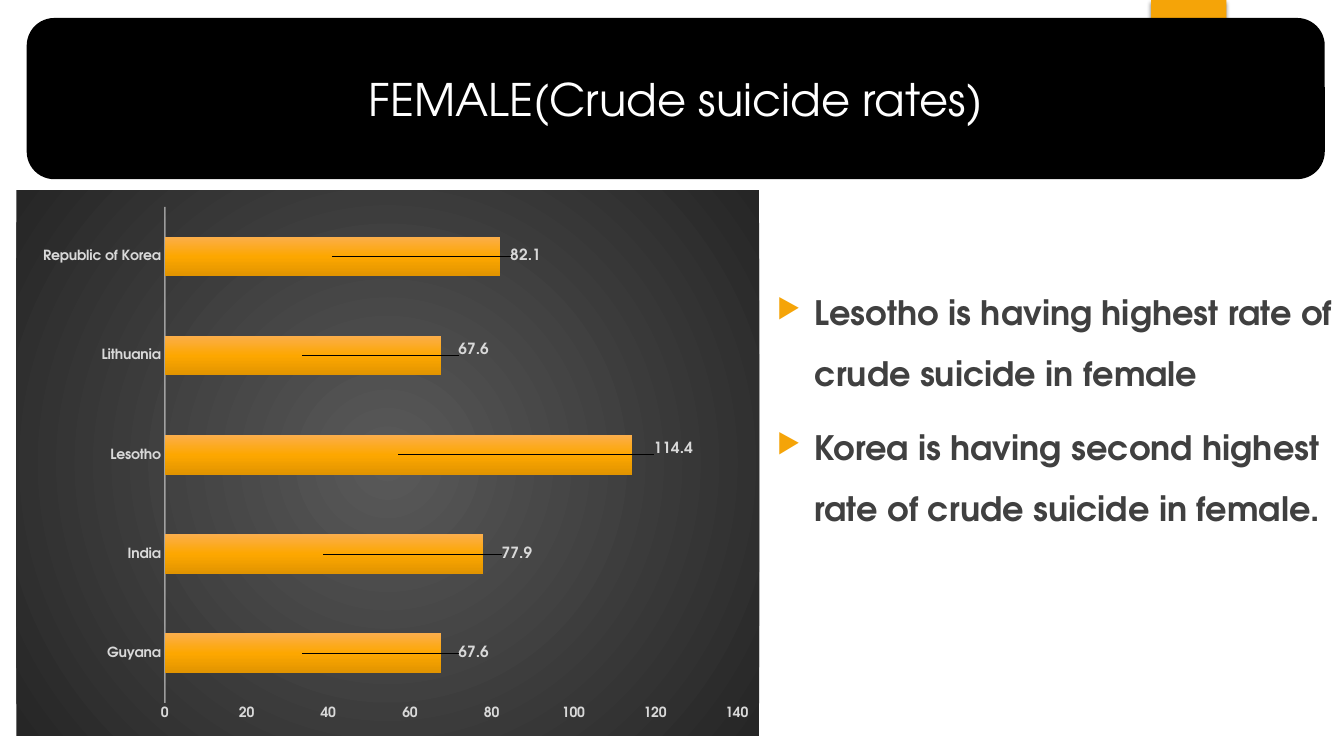
import pptx
import pptx.util
import pptx.chart.data
import pptx.dml.color
import pptx.enum.chart
import pptx.enum.shapes
import pptx.enum.text
import pptx.oxml
import pptx.oxml.ns
from pptx.util import Cm, Pt

# Content
TITLE = "FEMALE(Crude suicide rates)"
POINTS = [
    "Lesotho is having highest rate of crude suicide in female",
    "Korea is having second highest rate of crude suicide in female.",
]
# country: (rate, label shift from bar centre as share of chart width, height)
RATES = {
    "Guyana": (67.6, 0.23, 0),
    "India": (77.9, 0.26, 0),
    "Lesotho": (114.4, 0.37, -0.01),
    "Lithuania": (67.6, 0.23, -0.01),
    "Republic of Korea": (82.1, 0.26, 0),
}
FONT = "TeX Gyre Adventor"
COLORS = {"accent": "F5A408", "banner": "000000", "title": "FFFFFF",
          "body": "404040", "label": "D9D9D9", "axis": "F2F2F2"}
BAR_STOPS = [(0, "FBAE4B"), (50, "FDA700"), (100, "E19400")]
PANEL_STOPS = [(0, "595959"), (100, "262626")]
PLOT = {"x": 0.2, "y": 0.03, "w": 0.77, "h": 0.91}
NAMESPACES = pptx.oxml.ns.nsdecls("a", "c")


def rgb(name):
    return pptx.dml.color.RGBColor.from_string(COLORS[name])


def element(tag, attributes="", inner=""):
    return pptx.oxml.parse_xml(f"<{tag} {NAMESPACES} {attributes}>{inner}</{tag}>")


def style_font(font, size, color, bold=False):
    font.name, font.size, font.bold = FONT, Pt(size), bold
    font.color.rgb = rgb(color)


def add_text(para, text, size=24, color="body", bold=False, **layout):
    span = para.add_run()
    span.text = text
    style_font(span.font, size, color, bold)
    for name, value in layout.items():
        setattr(para, name, value)


def add_block(page, kind, left, top, width, height, color):
    block = page.shapes.add_shape(kind, Cm(left), Cm(top), Cm(width), Cm(height))
    block.shadow.inherit = False
    block.fill.solid()
    block.fill.fore_color.rgb = rgb(color)
    block.line.fill.background()
    return block


def gradient(stops, direction):
    colors = "".join(f'<a:gs pos="{position * 1000}"><a:srgbClr val="{color}"/></a:gs>'
                     for position, color in stops)
    return element("a:gradFill", 'rotWithShape="1"', f"<a:gsLst>{colors}</a:gsLst>{direction}")


def manual_layout(**values):
    inner = "".join(f'<c:{name} val="{value}"/>' for name, value in values.items())
    return element("c:layout", "", f"<c:manualLayout>{inner}</c:manualLayout>")


deck = pptx.Presentation()
deck.slide_width, deck.slide_height = Cm(33.87), Cm(19.05)
page = deck.slides.add_slide(deck.slide_layouts[6])
shape_kinds = pptx.enum.shapes.MSO_SHAPE

# Tab behind the banner
tab = add_block(page, shape_kinds.RECTANGLE, 29.01, 0, 1.9, 3.18, "accent")
tab.element.spPr.find(pptx.oxml.ns.qn("a:effectLst")).append(element(
    "a:outerShdw", 'blurRad="38100" dist="25400" dir="5400000" rotWithShape="0"',
    '<a:srgbClr val="000000"><a:alpha val="45000"/></a:srgbClr>'))

# Title banner
banner = add_block(page, shape_kinds.ROUNDED_RECTANGLE, 0.7, 0.48, 32.66, 4.01, "banner")
banner.line.color.rgb = rgb("banner")
banner.line.width = Pt(1.5)
banner.text_frame.word_wrap = True
banner.text_frame.vertical_anchor = pptx.enum.text.MSO_ANCHOR.MIDDLE
add_text(banner.text_frame.paragraphs[0], TITLE, size=32, color="title",
         alignment=pptx.enum.text.PP_ALIGN.CENTER)

# Bar chart
data = pptx.chart.data.CategoryChartData()
data.categories = list(RATES)
data.add_series("Series 1", [rate for rate, _, _ in RATES.values()])
chart = page.shapes.add_chart(pptx.enum.chart.XL_CHART_TYPE.BAR_STACKED,
                              Cm(0.41), Cm(4.8), Cm(18.72), Cm(13.74), data).chart
chart.has_legend = chart.has_title = False
style_font(chart.font, 10, "label", True)

for axis in (chart.category_axis, chart.value_axis):
    axis.has_major_gridlines = False
    axis.major_tick_mark = axis.minor_tick_mark = pptx.enum.chart.XL_TICK_MARK.NONE
    style_font(axis.tick_labels.font, 10, "label", True)
chart.value_axis.format.line.fill.background()
chart.value_axis.minimum_scale, chart.value_axis.maximum_scale = 0, 140
chart.value_axis.major_unit = 20
axis_line = chart.category_axis.format.line
axis_line.width = Pt(1)
axis_line.color.rgb = rgb("axis")
for color in axis_line.fill._xPr.iter(pptx.oxml.ns.qn("a:srgbClr")):
    color.append(element("a:alpha", 'val="54000"'))

plot = chart.plots[0]
plot.gap_width, plot.overlap, plot.vary_by_categories = 150, 100, False
series = plot.series[0]
bar_properties = series.format.fill._xPr
bar_properties.insert(0, gradient(BAR_STOPS, '<a:lin ang="5400000" scaled="0"/>'))

# Value labels beside the bars
center = pptx.enum.chart.XL_LABEL_POSITION.CENTER
labels = series.data_labels
labels.show_value, labels.position = True, center
style_font(labels.font, 11, "label", True)
for index, (_, shift_x, shift_y) in enumerate(RATES.values()):
    label = series.points[index].data_label
    style_font(label.font, 11, "label", True)
    label.position = center
chart_space = chart.element
for node, (_, shift_x, shift_y) in zip(chart_space.xpath(".//c:dLbl"), RATES.values()):
    node.insert(1, manual_layout(x=shift_x, y=shift_y))

# Plot area and dark panel
plot_area = chart_space.xpath(".//c:plotArea")[0]
for old_layout in plot_area.xpath("./c:layout"):
    plot_area.remove(old_layout)
plot_area.insert(0, manual_layout(layoutTarget="inner", xMode="edge", yMode="edge", **PLOT))
panel = element("c:spPr")
panel.append(gradient(PANEL_STOPS, '<a:path path="circle"><a:fillToRect l="50000" t="50000" '
                                   'r="50000" b="50000"/></a:path>'))
panel.append(element("a:ln", "", "<a:noFill/>"))
chart_space.xpath("./c:chart")[0].addnext(panel)

# Findings
box = page.shapes.add_textbox(Cm(19.33), Cm(6.73), Cm(14.53), Cm(11.63))
frame = box.text_frame
frame.word_wrap = True
for index, text in enumerate(POINTS):
    para = frame.add_paragraph() if index else frame.paragraphs[0]
    add_text(para, text, bold=True, line_spacing=1.5, space_before=Pt(10))
    properties = para._p.get_or_add_pPr()
    properties.set("marL", str(Cm(0.95)))
    properties.set("indent", str(-Cm(0.95)))
    properties.append(element("a:buClr", "", f'<a:srgbClr val="{COLORS["accent"]}"/>'))
    properties.append(element("a:buSzPct", 'val="80000"'))
    properties.append(element("a:buChar", 'char="\u25b6"'))

deck.save("out.pptx")
